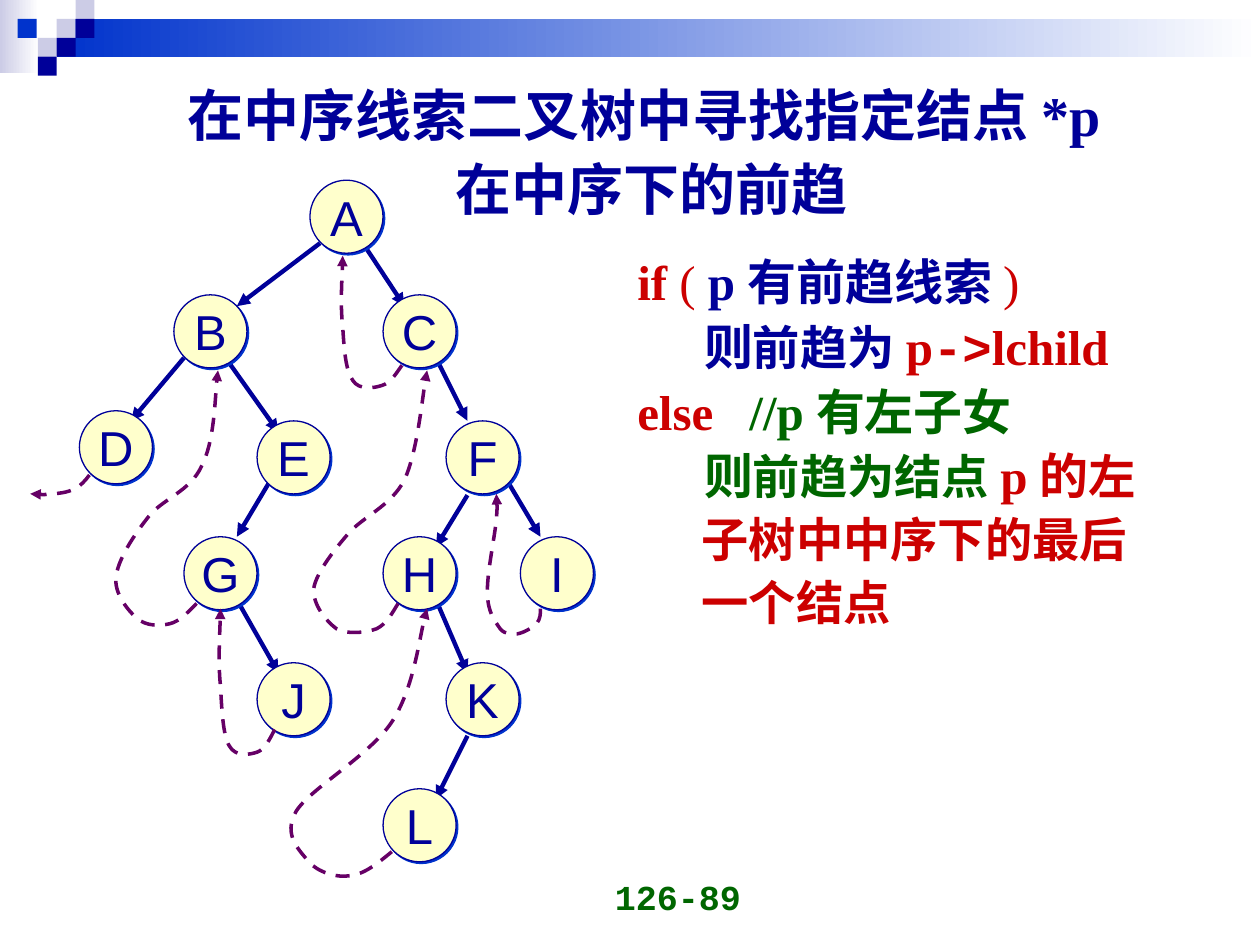
from dataclasses import dataclass
from typing import NamedTuple

from lxml import etree
from pptx import Presentation
from pptx import util as u
from pptx.dml.color import RGBColor
from pptx.enum import dml, shapes, text
from pptx.oxml import ns

NAVY = RGBColor(0x00, 0x00, 0x99)
BLUE = RGBColor(0x00, 0x33, 0xCC)
LAVENDER = RGBColor(0xCC, 0xCC, 0xE6)
WHITE = RGBColor(0xFF, 0xFF, 0xFF)
CREAM = RGBColor(0xFF, 0xFF, 0xCC)
RED = RGBColor(0xCC, 0x00, 0x00)
GREEN = RGBColor(0x00, 0x66, 0x00)
PURPLE = RGBColor(0x66, 0x00, 0x66)
SERIF, SANS, MONO = "Times New Roman", "Arial", "Courier New"
DIAMETER = 0.58
TILE = 0.15


@dataclass
class Span:
    words: str
    color: RGBColor
    size: float = 28
    font: str = SERIF
    bold: bool = True


@dataclass
class Line:
    spans: list[Span]
    left: float = 0
    before: float = 5
    tab: float = 0


class Node(NamedTuple):
    label: str
    x: float
    y: float


class Edge(NamedTuple):
    x1: float
    y1: float
    x2: float
    y2: float


class Band(NamedTuple):
    x: float
    y: float
    width: float
    height: float
    colors: tuple


BANDS = [
    Band(0, 0, 0.31, 0.58, (LAVENDER, WHITE)),
    Band(0.45, 0.15, 9.55, 0.3, (BLUE, WHITE)),
    *(Band(x, y, TILE, TILE, (color,)) for x, y, color in [
        (0.45, 0.15, LAVENDER), (0.6, 0, LAVENDER), (0.6, 0.15, NAVY),
        (0.3, 0.3, LAVENDER), (0.14, 0.15, BLUE), (0.45, 0.3, NAVY), (0.3, 0.45, NAVY)]),
]
NODES = [
    Node("A", 2.46, 1.43), Node("B", 1.38, 2.34), Node("C", 3.04, 2.34),
    Node("D", 0.63, 3.26), Node("E", 2.04, 3.34), Node("F", 3.54, 3.34),
    Node("G", 1.46, 4.26), Node("H", 3.04, 4.26), Node("I", 4.13, 4.26),
    Node("J", 2.04, 5.26), Node("K", 3.54, 5.26), Node("L", 3.04, 6.26),
]
A_TO_B = Edge(2.54, 1.93, 1.88, 2.43)
EDGES = [
    Edge(2.88, 1.93, 3.21, 2.43), Edge(3.46, 2.84, 3.71, 3.34), Edge(4.04, 3.84, 4.29, 4.26),
    Edge(3.71, 3.93, 3.46, 4.34), Edge(3.46, 4.76, 3.71, 5.34), Edge(1.79, 2.84, 2.21, 3.43),
    Edge(2.13, 3.84, 1.88, 4.26), Edge(1.88, 4.76, 2.21, 5.34), Edge(1.46, 2.84, 1.04, 3.34),
    Edge(3.71, 5.84, 3.46, 6.34),
]
THREADS = [
    [(3.19, 2.9), (3.14, 2.97), (3.1, 3.04), (3.03, 3.06), (2.97, 3.08), (2.85, 3.1), (2.8, 3.02),
     (2.74, 2.94), (2.73, 2.75), (2.72, 2.59), (2.7, 2.42), (2.72, 2.13), (2.72, 2.03)],
    [(4.29, 4.83), (4.29, 4.87), (4.29, 4.91), (4.26, 4.95), (4.23, 4.98), (4.16, 5.02),
     (4.11, 5.03), (4.07, 5.03), (4.01, 5.04), (3.97, 4.99), (3.93, 4.93), (3.87, 4.86),
     (3.87, 4.71), (3.86, 4.57), (3.93, 4.25), (3.94, 4.12), (3.95, 3.99), (3.94, 3.96),
     (3.94, 3.92)],
    [(0.71, 3.77), (0.68, 3.81), (0.64, 3.86), (0.59, 3.88), (0.54, 3.91), (0.45, 3.92),
     (0.39, 3.92), (0.34, 3.93), (0.26, 3.92), (0.24, 3.92)],
    [(1.56, 4.79), (1.49, 4.86), (1.43, 4.93), (1.35, 4.95), (1.27, 4.97), (1.16, 4.97),
     (1.09, 4.91), (1.02, 4.85), (0.91, 4.72), (0.92, 4.59), (0.93, 4.45), (1.06, 4.25),
     (1.18, 4.1), (1.29, 3.96), (1.51, 3.9), (1.6, 3.7), (1.7, 3.51), (1.71, 3.07), (1.73, 2.94)],
    [(3.16, 4.79), (3.11, 4.87), (3.07, 4.95), (2.99, 4.99), (2.91, 5.02), (2.76, 5.04),
     (2.67, 4.99), (2.59, 4.93), (2.48, 4.8), (2.49, 4.67), (2.51, 4.55), (2.64, 4.38),
     (2.76, 4.24), (2.88, 4.1), (3.1, 4.02), (3.21, 3.81), (3.31, 3.59), (3.36, 3.08),
     (3.39, 2.94)],
    [(3.11, 6.76), (3, 6.85), (2.89, 6.94), (2.78, 6.95), (2.67, 6.97), (2.52, 6.92),
     (2.45, 6.84), (2.38, 6.75), (2.24, 6.63), (2.35, 6.44), (2.46, 6.26), (2.93, 6),
     (3.11, 5.73), (3.28, 5.47), (3.34, 4.97), (3.39, 4.83)],
    [(2.18, 5.79), (2.14, 5.87), (2.1, 5.95), (2.04, 5.97), (1.98, 5.99), (1.87, 6.01),
     (1.82, 5.92), (1.77, 5.84), (1.76, 5.63), (1.75, 5.44), (1.73, 5.26), (1.75, 4.93),
     (1.75, 4.83)],
]
TITLE = [Line([Span("在中序线索二叉树中寻找指定结点 *p \v在中序下的前趋", NAVY, 32)], before=0)]
PAGE_NUMBER = [Line([Span("126-89", GREEN, 20, MONO)], before=0)]
STEPS = [
    Line([Span("if", RED), Span(" ( ", RED, bold=False), Span("p 有前趋线索 ", NAVY),
          Span(")", RED, bold=False)], before=0),
    Line([Span("则", NAVY), Span("前趋为", NAVY, 27), Span(" p", RED),
          Span("->", RED, font=MONO), Span("lchild", RED)], 0.53, 5.2),
    Line([Span("else\t", RED), Span("//p 有左子女", GREEN)], 0, 5.2, 0.89),
    Line([Span("则", GREEN), Span("前趋为结点", GREEN, 27), Span(" p 的", RED),
          Span("左", RED, 27)], 0.53),
    Line([Span("子树中中序下的最后", RED, 27)], 0.51),
    Line([Span("一个结点", RED, 27)], 0.51),
]


def assign(target, values: dict) -> None:
    for name, value in values.items():
        setattr(target, name, value)


def write(frame, lines: list[Line], align, spacing: float = 1.0) -> None:
    for index, line in enumerate(lines):
        para = frame.add_paragraph() if index else frame.paragraphs[0]
        assign(para, {"alignment": align, "line_spacing": spacing,
                      "space_before": u.Pt(line.before)})
        properties = para._p.get_or_add_pPr()
        properties.set("marL", str(u.Inches(line.left)))
        if line.tab:
            tabs = etree.SubElement(properties, ns.qn("a:tabLst"))
            etree.SubElement(tabs, ns.qn("a:tab"), pos=str(u.Inches(line.tab)), algn="l")
        for span in line.spans:
            for part, words in enumerate(span.words.split("\v")):
                if part:
                    para.add_line_break()
                run = para.add_run()
                run.text = words
                assign(run.font, {"size": u.Pt(span.size), "name": span.font, "bold": span.bold})
                run.font.color.rgb = span.color


def add_text(page, place: tuple, lines: list[Line], anchor, align, spacing: float = 1.0) -> None:
    box = page.shapes.add_textbox(*map(u.Inches, place))
    assign(box.text_frame, {"word_wrap": True, "vertical_anchor": anchor})
    write(box.text_frame, lines, align, spacing)


def add_band(page, band: Band) -> None:
    box = page.shapes.add_shape(shapes.MSO_SHAPE.RECTANGLE, *map(u.Inches, band[:4]))
    box.shadow.inherit = False
    box.line.fill.background()
    if len(band.colors) == 1:
        box.fill.solid()
        box.fill.fore_color.rgb = band.colors[0]
        return
    box.fill.gradient()
    box.fill.gradient_angle = 0
    for stop, color in zip(box.fill.gradient_stops, band.colors):
        stop.color.rgb = color


def draw_arrow_line(shape, color: RGBColor, width: float) -> None:
    shape.line.color.rgb = color
    shape.line.width = u.Pt(width)
    etree.SubElement(shape.line._get_or_add_ln(), ns.qn("a:tailEnd"), type="triangle")


def add_edge(page, edge: Edge) -> None:
    arrow = page.shapes.add_connector(shapes.MSO_CONNECTOR.STRAIGHT, *map(u.Inches, edge))
    draw_arrow_line(arrow, NAVY, 2.5)
    etree.SubElement(arrow._element.spPr, ns.qn("a:effectLst"))


def add_node(page, node: Node) -> None:
    circle = page.shapes.add_shape(
        shapes.MSO_SHAPE.OVAL, *map(u.Inches, (node.x, node.y, DIAMETER, DIAMETER)))
    circle.fill.solid()
    circle.fill.fore_color.rgb = CREAM
    circle.line.color.rgb = NAVY
    circle.line.width = u.Pt(0.75)
    effects = etree.SubElement(circle._element.spPr, ns.qn("a:effectLst"))
    shadow = etree.SubElement(effects, ns.qn("a:outerShdw"), dist=str(u.Pt(1.4)),
                              dir="2700000", algn="ctr", rotWithShape="0")
    etree.SubElement(shadow, ns.qn("a:srgbClr"), val=str(BLUE))
    assign(circle.text_frame, {"word_wrap": False, "vertical_anchor": text.MSO_ANCHOR.MIDDLE})
    write(circle.text_frame, [Line([Span(node.label, NAVY, 28, SANS, False)], before=0)],
          text.PP_ALIGN.CENTER)


def add_thread(page, points: list[tuple]) -> None:
    start, *rest = [(u.Inches(x), u.Inches(y)) for x, y in points]
    builder = page.shapes.build_freeform(*start)
    builder.add_line_segments(rest, close=False)
    thread = builder.convert_to_shape()
    thread.shadow.inherit = False
    thread.fill.background()
    thread.line.dash_style = dml.MSO_LINE.DASH
    draw_arrow_line(thread, PURPLE, 2)
    segments = list(thread._element.iter(ns.qn("a:lnTo")))
    outline = segments[0].getparent()
    for first in range(0, len(segments), 3):
        curve = etree.SubElement(outline, ns.qn("a:cubicBezTo"))
        for segment in segments[first:first + 3]:
            curve.append(segment[0])
            outline.remove(segment)


def main() -> None:
    deck = Presentation()
    assign(deck, {"slide_width": u.Inches(10), "slide_height": u.Inches(7.5)})
    page = deck.slides.add_slide(deck.slide_layouts[6])
    for band in BANDS:
        add_band(page, band)
    anchor, align = text.MSO_ANCHOR, text.PP_ALIGN
    add_text(page, (3.65, 6.83, 2.33, 0.5), PAGE_NUMBER, anchor.BOTTOM, align.RIGHT)
    add_text(page, (0.67, 0.4, 9, 1.54), TITLE, anchor.MIDDLE, align.CENTER, 1.1)
    add_text(page, (4.96, 1.98, 4.73, 3.94), STEPS, anchor.TOP, align.LEFT, 0.95)
    for edge in EDGES:
        add_edge(page, edge)
    for node in NODES:
        add_node(page, node)
    add_edge(page, A_TO_B)
    for thread in THREADS:
        add_thread(page, thread)
    deck.save("out.pptx")


if __name__ == "__main__":
    main()
